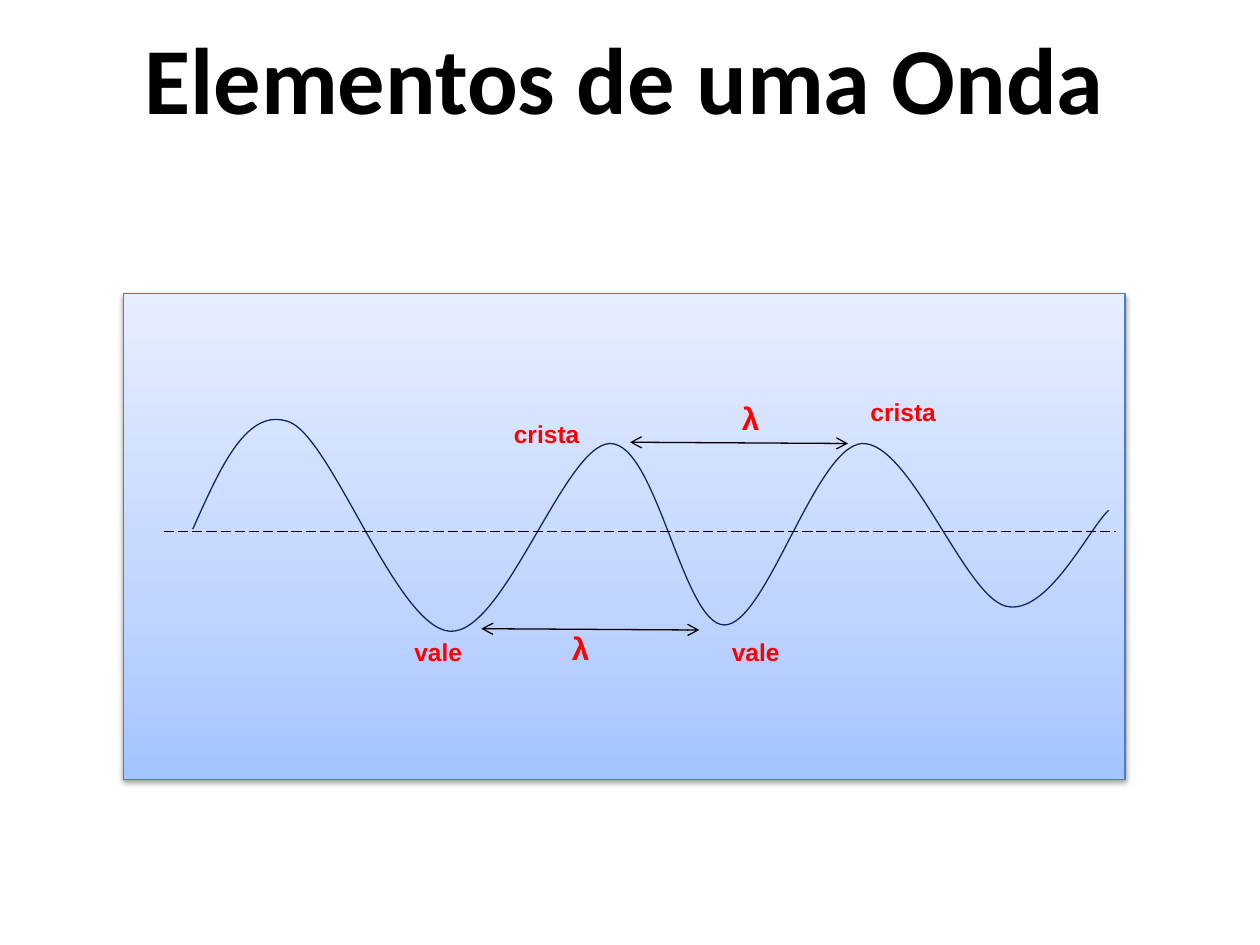
import copy
import pptx
import pptx.util
import pptx.dml.color
import pptx.enum.dml
import pptx.enum.shapes
import pptx.enum.text
import pptx.oxml
import pptx.oxml.ns
from lxml import etree

Inches, Pt = pptx.util.Inches, pptx.util.Pt
RGBColor = pptx.dml.color.RGBColor
ALIGN = pptx.enum.text.PP_ALIGN
qn = pptx.oxml.ns.qn

BLACK = RGBColor(0x00, 0x00, 0x00)
RED = RGBColor(0xFF, 0x00, 0x00)
NAVY = RGBColor(0x10, 0x27, 0x66)
EDGE = RGBColor(0x4B, 0x7E, 0xBC)
SHADES = [
    (0, RGBColor(0xA4, 0xC4, 0xFF)),
    (0.35, RGBColor(0xBF, 0xD4, 0xFF)),
    (1, RGBColor(0xE6, 0xEE, 0xFF)),
]

PANEL = (0.98, 2.33, 7.95, 3.86)
TITLE = ("Elementos de uma Onda", (1.01, 0.11, 7.89, 1.01))
LABELS = [  # text, box, size
    ("vale", (3.19, 5.01, 0.58, 0.34), 14),
    ("vale", (5.71, 5.01, 0.58, 0.34), 14),
    ("crista", (3.98, 3.28, 0.72, 0.34), 14),
    ("crista", (6.81, 3.1, 0.72, 0.34), 14),
    ("λ", (5.79, 3.12, 0.34, 0.4), 18),
    ("λ", (4.44, 4.94, 0.34, 0.4), 18),
]
START = (1.53, 4.2)
BENDS = [  # two control points and an end point per half wave
    [(1.75, 3.71), (1.96, 3.22), (2.3, 3.35)],
    [(2.64, 3.49), (3.15, 4.98), (3.57, 5.01)],
    [(4, 5.04), (4.48, 3.53), (4.84, 3.52)],
    [(5.21, 3.51), (5.42, 4.96), (5.75, 4.96)],
    [(6.08, 4.96), (6.47, 3.55), (6.84, 3.52)],
    [(7.22, 3.5), (7.65, 4.72), (7.98, 4.81)],
    [(8.31, 4.9), (8.65, 4.18), (8.8, 4.05)],
]
AXIS = (1.3, 4.22, 8.86, 4.22)
SPANS = [(5, 3.51, 6.73, 3.52), (3.82, 4.99, 5.55, 5)]


def scale(nums):
    return [Inches(n) for n in nums]


def add_panel(shapes):
    panel = shapes.add_shape(
        pptx.enum.shapes.MSO_SHAPE.RECTANGLE, *scale(PANEL))
    panel.fill.gradient()
    panel.fill.gradient_angle = 90
    stops = panel._element.spPr.find(".//" + qn("a:gsLst"))
    stops.append(copy.deepcopy(stops[0]))
    for stop, (place, color) in zip(panel.fill.gradient_stops, SHADES):
        stop.position = place
        stop.color.rgb = color
    panel.line.color.rgb = EDGE
    panel.line.width = Pt(0.75)
    panel.shadow.inherit = False
    glow = etree.SubElement(
        panel._element.spPr.find(qn("a:effectLst")), qn("a:outerShdw"),
        blurRad=str(Pt(3.1)), dist=str(Pt(1.6)), dir="5400000",
        rotWithShape="0")
    tint = etree.SubElement(glow, qn("a:srgbClr"), val=str(BLACK))
    etree.SubElement(tint, qn("a:alpha"), val="38000")


def add_text(shapes, text, box, size, font="Arial", color=RED, align=None):
    frame = shapes.add_textbox(*scale(box)).text_frame
    frame.word_wrap = False
    frame.auto_size = pptx.enum.text.MSO_AUTO_SIZE.SHAPE_TO_FIT_TEXT
    para = frame.paragraphs[0]
    para.text = text
    para.alignment = align
    para.font.name = font
    para.font.size = Pt(size)
    para.font.bold = True
    para.font.color.rgb = color


def add_wave(shapes):
    """Draw the wave, turning each three points into one cubic curve."""
    pen = shapes.build_freeform(*scale(START))
    pen.add_line_segments(
        [scale(point) for bend in BENDS for point in bend], close=False)
    wave = pen.convert_to_shape()
    wave.fill.background()
    wave.line.color.rgb = NAVY
    wave.line.width = Pt(0.75)
    wave.shadow.inherit = False
    route = wave._element.spPr.find(".//" + qn("a:path"))
    steps = route.findall(qn("a:lnTo"))
    for i in range(0, len(steps), 3):
        curve = etree.SubElement(route, qn("a:cubicBezTo"))
        for step in steps[i:i + 3]:
            curve.append(step[0])
            route.remove(step)


def add_line(shapes, ends):
    rule = shapes.add_connector(
        pptx.enum.shapes.MSO_CONNECTOR.STRAIGHT, *scale(ends))
    rule.line.color.rgb = BLACK
    rule.line.width = Pt(0.75)
    etree.SubElement(rule._element.spPr, qn("a:effectLst"))
    return rule


def main():
    deck = pptx.Presentation()
    deck.slide_width, deck.slide_height = Inches(10), Inches(7.5)
    shapes = deck.slides.add_slide(deck.slide_layouts[6]).shapes
    add_panel(shapes)
    add_text(shapes, *TITLE, 54, "Calibri", BLACK, ALIGN.CENTER)
    add_wave(shapes)
    axis = add_line(shapes, AXIS)
    axis.line.dash_style = pptx.enum.dml.MSO_LINE.LONG_DASH
    for label in LABELS:
        add_text(shapes, *label)
    for span in SPANS:
        stroke = add_line(shapes, span)._element.spPr.find(qn("a:ln"))
        for end in ("a:headEnd", "a:tailEnd"):
            etree.SubElement(stroke, qn(end), type="arrow")
    deck.save("out.pptx")


if __name__ == "__main__":
    main()
